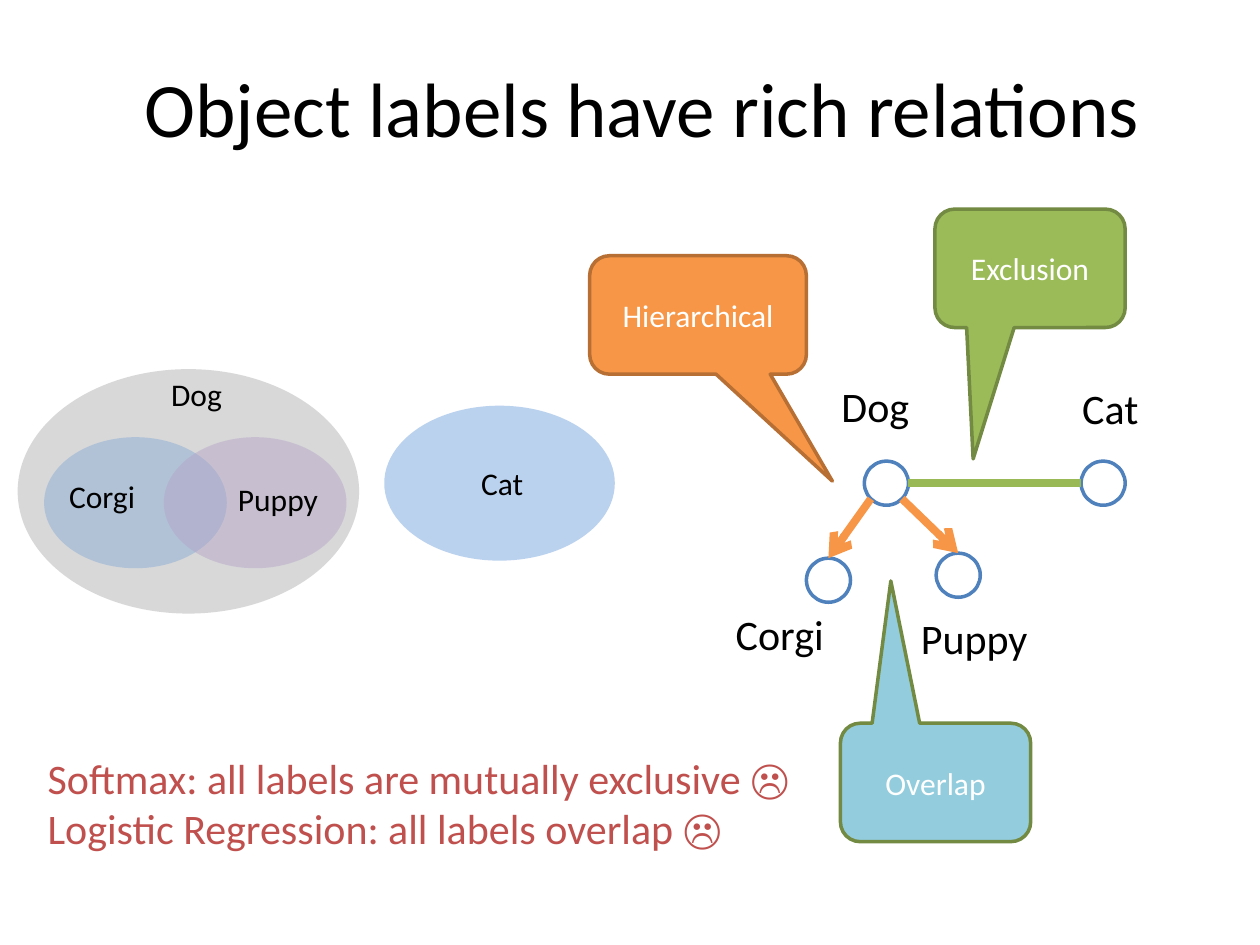
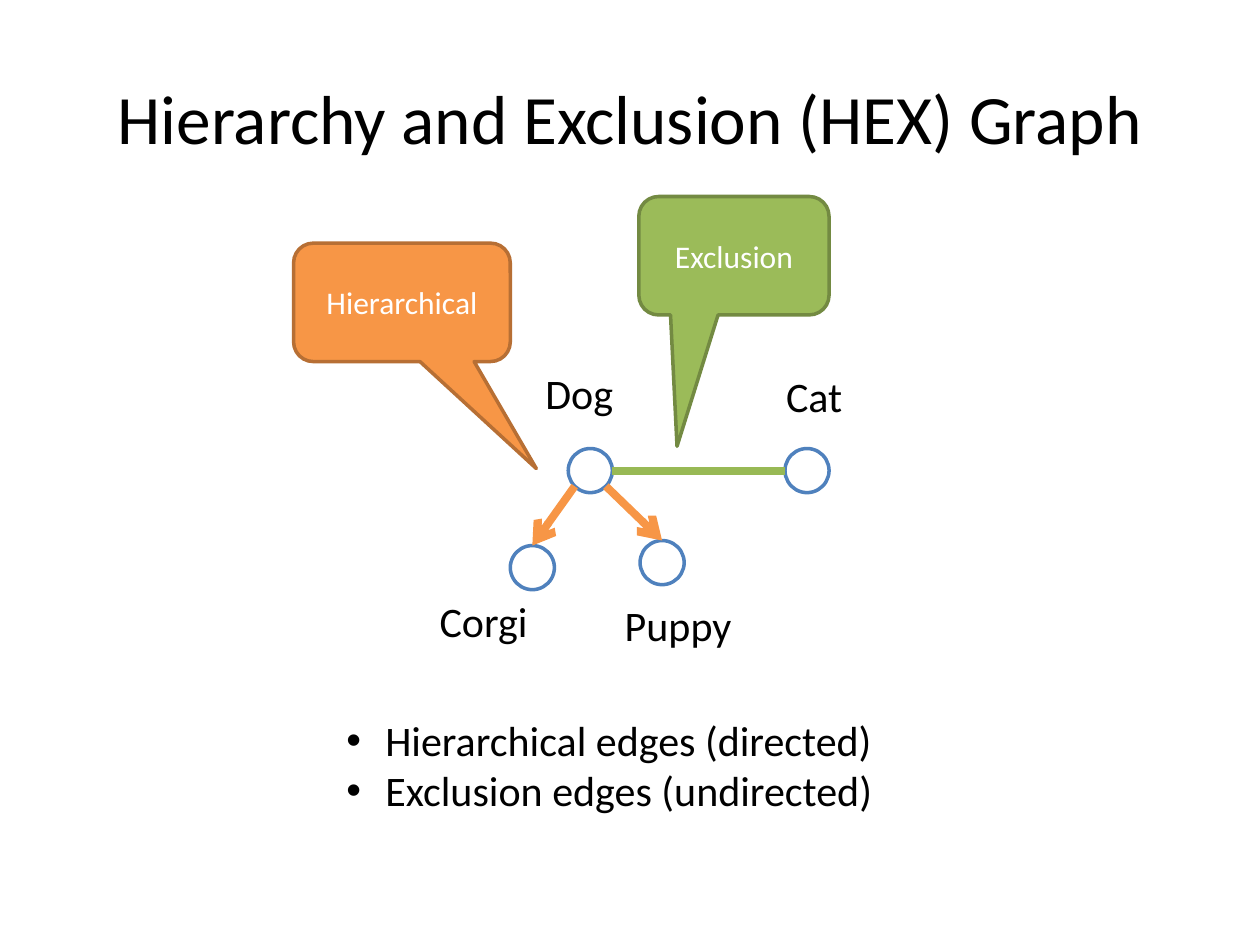
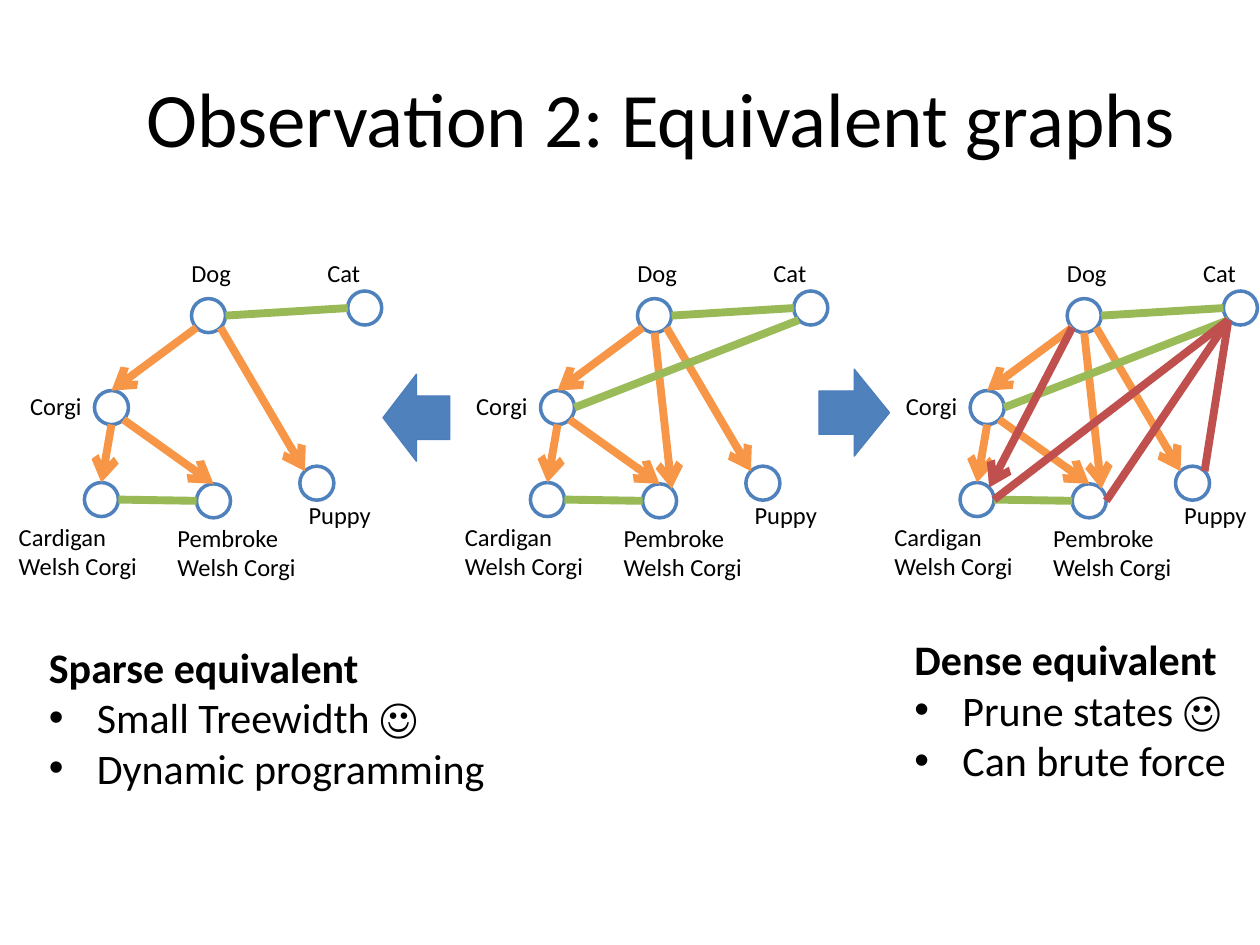
from math import cos, radians, sin

from pptx import Presentation
from pptx.dml.color import RGBColor
from pptx.enum.shapes import MSO_CONNECTOR as Link, MSO_SHAPE as Preset
from pptx.enum.text import MSO_ANCHOR as Anchor, PP_ALIGN as Align
from pptx.oxml.ns import qn
from pptx.util import Inches, Pt

FONT = "Calibri"
BLACK, WHITE, BLUE, RED = "000000", "FFFFFF", "4F81BD", "C0504D"
ORANGE, GREEN, EDGE_GREEN, GREEN_RIM = "F79646", "9BBB59", "98B955", "738A42"

# Angle of each point on a node's rim, clockwise from the right
RIM = {"E": 0, "SE": 45, "S": 90, "SW": 135, "W": 180, "NW": 225, "N": 270, "NE": 315}

# Graph of four labels: name -> node place, label box
DOG_CAT = {
    "Dog": ((4.51, 3.56), (4.23, 2.87, 1.52, 0.5)),
    "Cat": ((6.23, 3.56), (6.14, 2.89, 1.52, 0.5)),
    "Corgi": ((4.05, 4.33), (3.39, 4.68, 1.52, 0.5)),
    "Puppy": ((5.08, 4.29), (4.86, 4.71, 1.52, 0.5)),
}
# Edge: start node, rim point, end node, rim point, colour, directed
DOG_CAT_EDGES = [
    ("Dog", "SW", "Corgi", "N", ORANGE, True),
    ("Dog", "SE", "Puppy", "N", ORANGE, True),
    ("Dog", "E", "Cat", "W", EDGE_GREEN, False),
]
# Callout: text, box, tip, fill, rim
EDGE_CALLOUTS = [
    ("Exclusion", (5.07, 1.56, 1.51, 0.94), (-0.299, 1.609), GREEN, GREEN_RIM),
    ("Hierarchical", (2.33, 1.93, 1.72, 0.94), (0.62, 1.403), ORANGE, "B76F34"),
]
OVERLAP_CALLOUT = ("Overlap", (6.67, 5.74, 1.51, 0.94), (-0.235, -1.701), "93CDDD", GREEN_RIM)

# Sets: box, colour, opacity in percent
LABEL_SETS = [
    ((0.14, 2.93, 2.71, 1.94), "BFBFBF", 60),
    ((3.05, 3.22, 1.83, 1.23), "8EB4E3", 60),
    ((0.35, 3.47, 1.45, 1.04), "95B3D7", 58),
    ((1.3, 3.47, 1.45, 1.04), "B3A2C7", 45),
]
SET_NAMES = [
    ("Dog", (1.26, 2.93, 0.72, 0.4)),
    ("Cat", (3.72, 3.63, 0.72, 0.4)),
    ("Corgi", (0.45, 3.74, 0.8, 0.4)),
    ("Puppy", (1.79, 3.76, 1.05, 0.4)),
]
DRAWBACKS = ["Softmax: all labels are mutually exclusive ☹",
             "Logistic Regression: all labels overlap ☹"]
EDGE_TYPES = ["Hierarchical edges (directed)", "Exclusion edges (undirected)"]

# Graph of six labels
CARDIGAN, PEMBROKE = "Cardigan Welsh Corgi", "Pembroke Welsh Corgi"
BREEDS = {
    "Dog": ((1.52, 2.37), (1.42, 2, 0.63, 0.35)),
    "Cat": ((2.76, 2.31), (2.5, 2, 0.63, 0.35)),
    "Corgi": ((0.75, 3.1), (0.14, 3.05, 0.95, 0.35)),
    "Puppy": ((2.38, 3.7), (2.35, 3.92, 1.01, 0.35)),
    CARDIGAN: ((0.67, 3.83), (0.05, 4.09, 1.21, 0.57)),
    PEMBROKE: ((1.56, 3.84), (1.31, 4.1, 1.21, 0.57)),
}
SPARSE_EDGES = [
    ("Dog", "SW", "Corgi", "N", ORANGE, True),
    ("Dog", "SE", "Puppy", "NW", ORANGE, True),
    ("Corgi", "SE", PEMBROKE, "N", ORANGE, True),
    ("Corgi", "S", CARDIGAN, "N", ORANGE, True),
    ("Dog", "E", "Cat", "W", EDGE_GREEN, False),
    (CARDIGAN, "E", PEMBROKE, "W", EDGE_GREEN, False),
]
GIVEN_EDGES = SPARSE_EDGES + [
    ("Dog", "S", PEMBROKE, "NE", ORANGE, True),
    ("Corgi", "E", "Cat", "SW", GREEN, False),
]
DENSE_EDGES = GIVEN_EDGES + [
    (CARDIGAN, "E", "Cat", "SW", RED, False),
    (PEMBROKE, "E", "Cat", "SW", RED, False),
    ("Puppy", "NE", "Cat", "SW", RED, False),
    ("Dog", "SW", CARDIGAN, "NE", RED, True),
]
EQUIVALENTS = [(0, SPARSE_EDGES), (3.54, GIVEN_EDGES), (6.95, DENSE_EDGES)]
BENEFITS = [
    ((0.29, 5.04, 4.67, 1.31), ["Sparse equivalent", "Small Treewidth ☺", "Dynamic programming"]),
    ((7.16, 4.98, 3.63, 1.31), ["Dense equivalent", "Prune states ☺", "Can brute force"]),
]
TURNS = [(Preset.LEFT_ARROW, (3.04, 2.97, 0.53, 0.69)),
         (Preset.RIGHT_ARROW, (6.5, 2.93, 0.56, 0.69))]


def rgb(color):
    return RGBColor.from_string(color)


def inches(values):
    return [Inches(value) for value in values]


def shift(box, dx, dy):
    return (box[0] + dx, box[1] + dy, *box[2:])


def write(frame, lines, size=24, color=BLACK, align=Align.LEFT, anchor=Anchor.TOP,
          indent=0, heading=False):
    """Fill a frame; an indent gives bullets, a heading is a bold first line."""
    frame.word_wrap = True
    frame.vertical_anchor = anchor
    for i, line in enumerate(lines):
        paragraph = frame.paragraphs[0] if i == 0 else frame.add_paragraph()
        is_heading = heading and i == 0
        if indent and not is_heading:
            props = paragraph._p.get_or_add_pPr()
            props.set("marL", str(Inches(indent)))
            props.set("indent", str(-Inches(indent)))
            for tag, key, value in (("a:buFont", "typeface", "Arial"), ("a:buChar", "char", "•")):
                props.append(props.makeelement(qn(tag), {key: value}))
        paragraph.alignment = align
        run = paragraph.add_run()
        run.text = line
        font = run.font
        font.name, font.size, font.bold = FONT, Pt(size), is_heading
        font.color.rgb = rgb(color)


def add_text(slide, box, lines, **style):
    write(slide.shapes.add_textbox(*inches(box)).text_frame, lines, **style)


def add_shape(slide, preset, box, fill, rim=None, width=2, opacity=100):
    shape = slide.shapes.add_shape(preset, *inches(box))
    shape.shadow.inherit = False
    shape.fill.solid()
    shape.fill.fore_color.rgb = rgb(fill)
    if opacity < 100:
        color = shape._element.spPr.find(".//" + qn("a:srgbClr"))
        color.append(color.makeelement(qn("a:alpha"), {"val": str(opacity * 1000)}))
    if rim:
        shape.line.color.rgb = rgb(rim)
        shape.line.width = Pt(width)
    else:
        shape.line.fill.background()
    return shape


def add_edge(slide, start, end, color, directed):
    edge = slide.shapes.add_connector(Link.STRAIGHT, *inches((*start, *end)))
    edge.line.color.rgb = rgb(color)
    edge.line.width = Pt(4.5)
    if directed:
        line = edge.line._get_or_add_ln()
        line.append(line.makeelement(qn("a:tailEnd"), {"type": "arrow"}))
    props = edge._element.spPr
    props.append(props.makeelement(qn("a:effectLst")))


def add_callout(slide, name, box, tip, fill, rim):
    callout = add_shape(slide, Preset.ROUNDED_RECTANGULAR_CALLOUT, box, fill, rim)
    callout.adjustments[0], callout.adjustments[1] = tip
    write(callout.text_frame, [name], size=18, color=WHITE, align=Align.CENTER,
          anchor=Anchor.MIDDLE)


def add_graph(slide, nodes, edges, diameter, size, dx=0, dy=0):
    radius = diameter / 2

    def rim_point(name, side):
        left, top = shift(nodes[name][0], dx, dy)
        angle = radians(RIM[side])
        return left + radius * (1 + cos(angle)), top + radius * (1 + sin(angle))

    for name, (place, label_box) in nodes.items():
        add_text(slide, shift(label_box, dx, dy), [name], size=size)
        add_shape(slide, Preset.OVAL, (*shift(place, dx, dy), diameter, diameter), WHITE, BLUE)
    for start, start_side, end, end_side, color, directed in edges:
        add_edge(slide, rim_point(start, start_side), rim_point(end, end_side), color, directed)


def add_hex_graph(slide, dx=0, dy=0):
    add_graph(slide, DOG_CAT, DOG_CAT_EDGES, 0.35, 24, dx, dy)
    for name, box, *look in EDGE_CALLOUTS:
        add_callout(slide, name, shift(box, dx, dy), *look)


def new_slide(deck, title, box, size=44):
    slide = deck.slides.add_slide(deck.slide_layouts[6])
    add_text(slide, box, [title], size=size, align=Align.CENTER, anchor=Anchor.MIDDLE)
    return slide


def main():
    deck = Presentation()
    deck.slide_width, deck.slide_height = Inches(10), Inches(7.5)

    # Label relations as sets and as a graph
    relations = new_slide(deck, "Object labels have rich relations", (0.35, 0.22, 9.5, 1.25))
    add_hex_graph(relations, 2.35, 0.1)
    for box, color, opacity in LABEL_SETS:
        add_shape(relations, Preset.OVAL, box, color, opacity=opacity)
    for name, box in SET_NAMES:
        add_text(relations, box, [name], size=18)
    add_callout(relations, *OVERLAP_CALLOUT)
    add_text(relations, (0.28, 5.92, 6.3, 0.91), DRAWBACKS, color=RED)

    # The HEX graph and its edge types
    hex_graph = new_slide(deck, "Hierarchy and Exclusion (HEX) Graph", (0.5, 0.3, 9, 1.25), 39.6)
    add_hex_graph(hex_graph)
    add_text(hex_graph, (2.65, 5.62, 5.08, 0.91), EDGE_TYPES, indent=0.31)

    # Sparse, given and dense graphs
    equivalence = new_slide(deck, "Observation 2: Equivalent graphs", (0.5, 0.3, 9.5, 1.25))
    for dx, edges in EQUIVALENTS:
        add_graph(equivalence, BREEDS, edges, 0.27, 14, dx)
    for box, lines in BENEFITS:
        add_text(equivalence, box, lines, indent=0.38, heading=True)
    for preset, box in TURNS:
        add_shape(equivalence, preset, box, BLUE, "4B7EBC", 0.75)

    deck.save("out.pptx")


if __name__ == "__main__":
    main()
